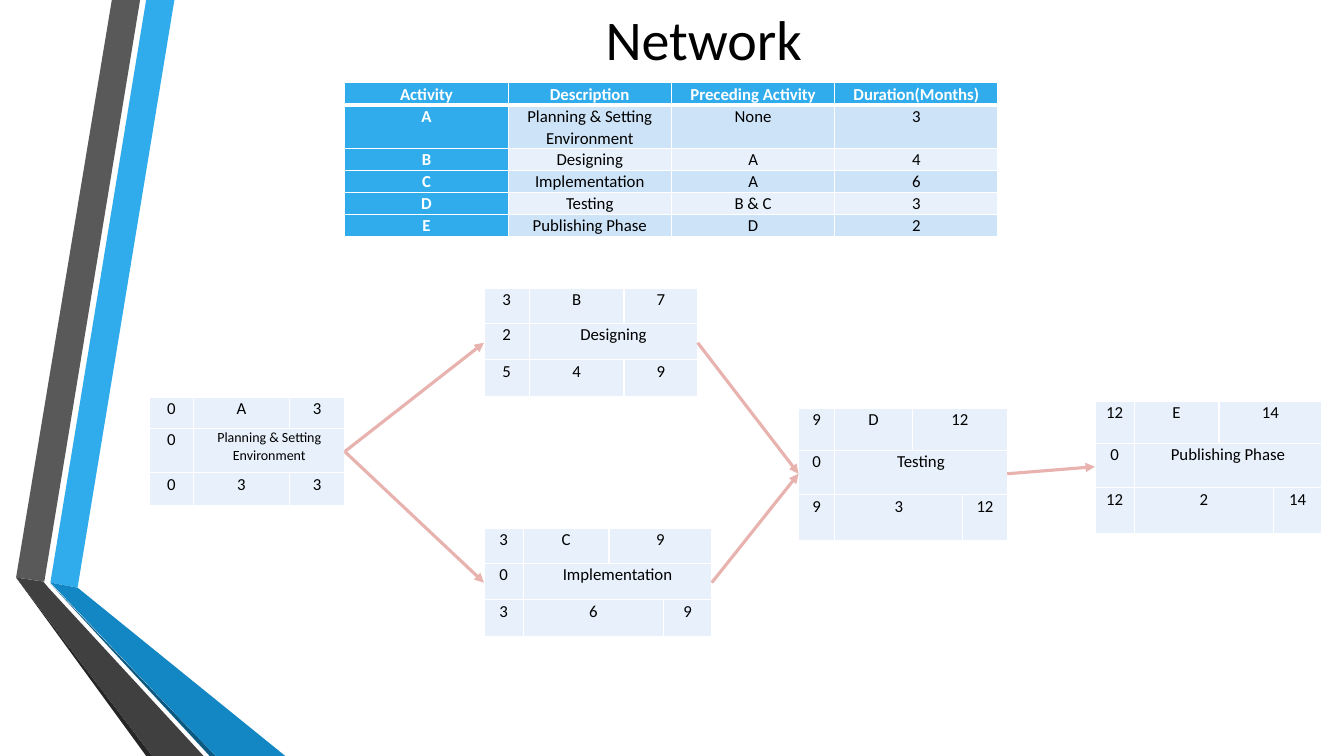
from lxml.etree import SubElement
from pptx import Presentation
from pptx.dml.color import RGBColor
from pptx.enum.shapes import MSO_CONNECTOR
from pptx.enum.text import MSO_ANCHOR, PP_ALIGN
from pptx.oxml.ns import qn
from pptx.util import Pt

PX = 9144  # 100 px to the inch
FONT = "Calibri"
HEX = {
    "white": "FFFFFF", "black": "000000", "blue": "30ACEC", "deep": "1287C3",
    "navy": "0C5A82", "gray": "595959", "dark": "404040", "coal": "262626",
    "band": "CDE3F8", "pale": "E8F1FB", "rose": "E8B2AF",
}
RGB = {name: RGBColor.from_string(code) for name, code in HEX.items()}

deck = Presentation()
deck.slide_width, deck.slide_height = 1333 * PX, 750 * PX
slide = deck.slides.add_slide(deck.slide_layouts[6])
shapes = slide.shapes


def write(frame, text, size, color="black", bold=False):
    para = frame.paragraphs[0]
    para.alignment = PP_ALIGN.CENTER
    run = para.add_run()
    run.text = text
    run.font.name, run.font.size, run.font.bold = FONT, Pt(size), bold
    run.font.color.rgb = RGB[color]
    return para


def add_grid(left, top, cols, rows):
    table = shapes.add_table(len(rows), len(cols), left * PX, top * PX,
                             sum(cols) * PX, sum(rows) * PX).table
    table.first_row = table.horz_banding = False
    for col, width in zip(table.columns, cols):
        col.width = width * PX
    for row, height in zip(table.rows, rows):
        row.height = height * PX
    for cell in table.iter_cells():
        cell.margin_left = cell.margin_right = 7 * PX
        cell.margin_top = cell.margin_bottom = 0
        for side in ("lnL", "lnR", "lnT", "lnB"):
            edge = SubElement(cell._tc.get_or_add_tcPr(), qn("a:" + side), w=str(Pt(1)))
            fill = SubElement(edge, qn("a:solidFill"))
            SubElement(fill, qn("a:srgbClr"), val=HEX["white"])
        cell.fill.solid()
        cell.fill.fore_color.rgb = RGB["pale"]
    return table


# Ribbons at the left
ribbons = [
    ("blue", [(50, 578), (77, 583), (173, 0), (145, 0)]),
    ("gray", [(139, 0), (111, 0), (16, 573), (44, 577)]),
    ("coal", [(16, 573), (145, 750), (151, 750)]),
    ("navy", [(50, 579), (208, 750), (214, 750)]),
    ("deep", [(50, 578), (214, 750), (283, 750), (77, 583)]),
    ("dark", [(202, 750), (48, 583), (43, 577), (16, 573), (151, 750)]),
]
for color, points in ribbons:
    path = shapes.build_freeform(*points[0], scale=PX)
    path.add_line_segments(points[1:], close=True)
    ribbon = path.convert_to_shape()
    ribbon.shadow.inherit = False
    ribbon.fill.solid()
    ribbon.fill.fore_color.rgb = RGB[color]
    ribbon.line.fill.background()

# Title
title = shapes.add_textbox(150 * PX, -58 * PX, 1096 * PX, 192 * PX).text_frame
title.word_wrap = True
title.vertical_anchor = MSO_ANCHOR.MIDDLE
write(title, "Network", 40)

# Activity table
tasks = [
    ("Activity", "Description", "Preceding Activity", "Duration(Months)"),
    ("A", "Planning & Setting Environment", "None", "3"),
    ("B", "Designing", "A", "4"),
    ("C", "Implementation", "A", "6"),
    ("D", "Testing", "B & C", "3"),
    ("E", "Publishing Phase", "D", "2"),
]
table = add_grid(342, 82, [162] * 4, [22, 43] + [22] * 4)
for r, task in enumerate(tasks):
    for c, text in enumerate(task):
        cell = table.cell(r, c)
        head = r == 0 or c == 0
        para = write(cell.text_frame, text, 12, "white" if head else "black", head)
        para.line_spacing = 1.07
        cell.fill.fore_color.rgb = RGB["blue" if head else "band" if r % 2 else "pale"]
        if r < 2:  # thick rule under the header
            rule = cell._tc.tcPr.find(qn("a:lnT" if r else "a:lnB"))
            rule.set("w", str(Pt(3)))

# Network nodes: left, top, columns, rows, texts (None joins the cell to its left)
nodes = {
    "A": (148, 394, [44, 95, 55], [31, 44, 33],
          [("0", "A", "3"), ("0", "Planning & Setting Environment", None), ("0", "3", "3")]),
    "B": (480, 286, [45, 94, 73], [35, 36, 37],
          [("3", "B", "7"), ("2", "Designing", None), ("5", "4", "9")]),
    "C": (480, 524, [39, 85, 54, 48], [35, 36, 37],
          [("3", "C", "9", None), ("0", "Implementation", None, None), ("3", "6", None, "9")]),
    "D": (792, 405, [36, 77, 50, 44], [42, 44, 45],
          [("9", "D", "12", None), ("0", "Testing", None, None), ("9", "3", None, "12")]),
    "E": (1086, 398, [39, 84, 54, 48], [42, 44, 45],
          [("12", "E", "14", None), ("0", "Publishing Phase", None, None), ("12", "2", None, "14")]),
}
ports = {}
for name, (left, top, cols, rows, texts) in nodes.items():
    table = add_grid(left, top, cols, rows)
    for r, line in enumerate(texts):
        for c, text in enumerate(line):
            if text is None:
                continue
            last = c
            while last + 1 < len(line) and line[last + 1] is None:
                last += 1
            cell = table.cell(r, c)
            if last > c:
                cell.merge(table.cell(r, last))
            para = write(cell.text_frame, text, 10 if len(text) > 20 else 12)
            para.line_spacing, para.space_after = 1.07, Pt(8)
    ports[name] = (left, left + sum(cols), top + sum(rows) // 2)

# Arrows from right side to left side
for start, end in ("AB", "AC", "BD", "CD", "DE"):
    _, x1, y1 = ports[start]
    x2, _, y2 = ports[end]
    arrow = shapes.add_connector(MSO_CONNECTOR.STRAIGHT, x1 * PX, y1 * PX, x2 * PX, y2 * PX)
    arrow.line.color.rgb = RGB["rose"]
    arrow.line.width = Pt(2.25)
    SubElement(arrow.line._get_or_add_ln(), qn("a:tailEnd"), type="triangle")
    SubElement(arrow._element.spPr, qn("a:effectLst"))

deck.save("out.pptx")
